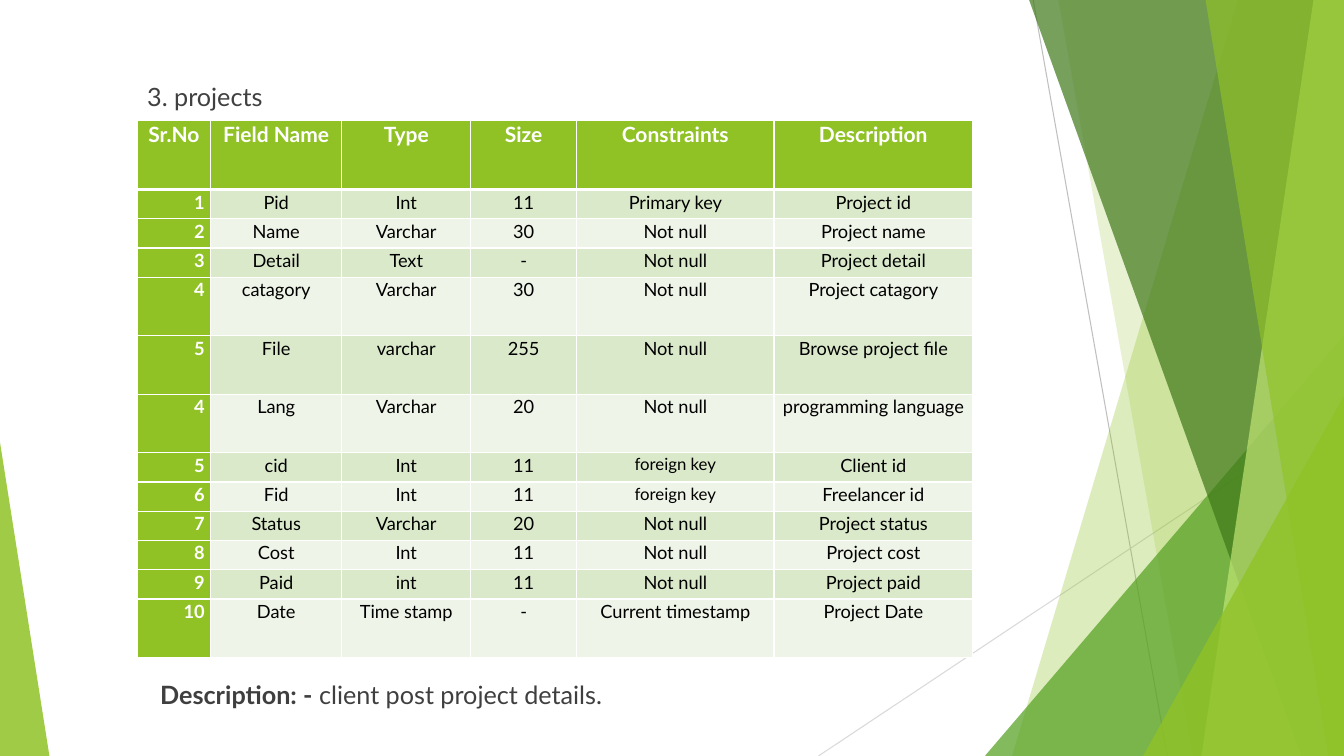
"""Builds the slide that lists the fields of the projects table."""
from pptx import Presentation
from pptx.dml.color import RGBColor
from pptx.enum.shapes import MSO_CONNECTOR, MSO_SHAPE
from pptx.enum.text import MSO_ANCHOR, PP_ALIGN
from pptx.oxml import parse_xml
from pptx.oxml.ns import nsdecls, qn
from pptx.util import Pt
from lxml.etree import SubElement

COLORS = {
    "white": "FFFFFF", "black": "000000", "title": "404040", "text": "3F3F3F",
    "gray": "BFBFBF", "silver": "D9D9D9", "lime": "90C226", "green": "54A021",
    "forest": "3F7819", "pale": "C0E474", "band_dark": "DBE9CB", "band_light": "EEF4E7",
}
WIDTH, HEIGHT = 960, 540
COLUMNS = [52.6, 93.6, 92.2, 75.6, 141.1, 141.8]
HEADER_ROW, ROW, TALL_ROW = 49.7, 20.9, 41.8
TALL_FIELDS = {"catagory", "File", "Lang", "Date"}
FIELDS = [
    ["Sr.No", "Field Name", "Type", "Size", "Constraints", "Description"],
    ["1", "Pid", "Int", "11", "Primary key", "Project id"],
    ["2", "Name", "Varchar", "30", "Not null", "Project name"],
    ["3", "Detail", "Text", "-", "Not null", "Project detail"],
    ["4", "catagory", "Varchar", "30", "Not null", "Project catagory"],
    ["5", "File", "varchar", "255", "Not null", "Browse project file"],
    ["4", "Lang", "Varchar", "20", "Not null", "programming language"],
    ["5", "cid", "Int", "11", "foreign key", "Client id"],
    ["6", "Fid", "Int", "11", "foreign key", "Freelancer id"],
    ["7", "Status", "Varchar", "20", "Not null", "Project status"],
    ["8", "Cost", "Int", "11", "Not null", "Project cost"],
    ["9", "Paid", "int", "11", "Not null", "Project paid"],
    ["10", "Date", "Time stamp", "-", "Current timestamp", "Project Date"],
]


def rgb(name):
    """Return the named colour."""
    return RGBColor.from_string(COLORS[name])


class SlideBuilder:
    """Holds the style and the current slide."""

    font = "Lato"

    def __init__(self, prs):
        """Add a title-only slide."""
        self.s = prs.slides.add_slide(prs.slide_layouts[5])

    def style(self, font, size, color, bold=False):
        """Set typeface, size, colour and weight."""
        font.name, font.size, font.bold = self.font, Pt(size), bold
        font.color.rgb = rgb(color)

    def paint(self, sp, color, opacity):
        """Give a shape a see-through fill and no outline."""
        sp.shadow.inherit = False
        sp.fill.solid()
        sp.fill.fore_color.rgb = rgb(color)
        sp.line.fill.background()
        clr = sp._element.spPr.find(qn("a:solidFill"))[0]
        SubElement(clr, qn("a:alpha")).set("val", str(opacity * 1000))

    def line(self, x1, y1, x2, y2, color):
        """Draw a thin straight line."""
        cn = self.s.shapes.add_connector(
            MSO_CONNECTOR.STRAIGHT, Pt(x1), Pt(y1), Pt(x2), Pt(y2))
        cn.line.color.rgb = rgb(color)
        cn.line.width = Pt(0.75)
        SubElement(cn._element.spPr, qn("a:effectLst"))

    def panel(self, top_x, bottom_x, color, opacity):
        """Fill from a slanted left edge to the right side of the slide."""
        fb = self.s.shapes.build_freeform(Pt(top_x), 0)
        fb.add_line_segments([(Pt(WIDTH), 0), (Pt(WIDTH), Pt(HEIGHT)), (Pt(bottom_x), Pt(HEIGHT))])
        self.paint(fb.convert_to_shape(), color, opacity)

    def triangle(self, x, y, w, apex, color, opacity):
        """Draw a triangle that stands on the bottom edge."""
        sp = self.s.shapes.add_shape(
            MSO_SHAPE.ISOSCELES_TRIANGLE, Pt(x), Pt(y), Pt(w), Pt(HEIGHT - y))
        sp.adjustments[0] = apex
        self.paint(sp, color, opacity)

    def title(self, text, x, y, w, h):
        """Place the title and bring it to the front."""
        sp = self.s.shapes.title
        sp.left, sp.top, sp.width, sp.height = Pt(x), Pt(y), Pt(w), Pt(h)
        self.s.shapes._spTree.append(sp._element)
        tf = sp.text_frame
        tf.text, tf.vertical_anchor = text, MSO_ANCHOR.TOP
        p = tf.paragraphs[0]
        p.alignment = PP_ALIGN.LEFT
        self.style(p.font, 18, "title")

    def note(self, label, text, x, y, w, h):
        """Add a line of text with a bold label."""
        tf = self.s.shapes.add_textbox(Pt(x), Pt(y), Pt(w), Pt(h)).text_frame
        tf.word_wrap = True
        for words, bold in ((label, True), (text, False)):
            r = tf.paragraphs[0].add_run()
            r.text = words
            self.style(r.font, 18, "text", bold)

    def cell(self, cell, text, row, col):
        """Write and format one table cell."""
        head, number = row == 0, col == 0
        cell.margin_left = cell.margin_right = Pt(4.3)
        cell.margin_top = cell.margin_bottom = 0
        thick = {"B"} if head else {"T"} if row == 1 else set()
        for side in "LRTB":
            cell._tc.get_or_add_tcPr().append(parse_xml(
                f'<a:ln{side} {nsdecls("a")} w="{Pt(3 if side in thick else 1)}"><a:solidFill>'
                f'<a:srgbClr val="{COLORS["white"]}"/></a:solidFill></a:ln{side}>'))
        band = "band_dark" if row % 2 else "band_light"
        cell.fill.solid()
        cell.fill.fore_color.rgb = rgb("lime" if head or number else band)
        cell.text = text
        p = cell.text_frame.paragraphs[0]
        p.alignment = PP_ALIGN.RIGHT if number and not head else PP_ALIGN.CENTER
        p.line_spacing = 1.07
        size = 15 if head else 12 if text == "foreign key" else 13
        strong = head or number
        self.style(p.font, size, "white" if strong else "black", strong)

    def table(self, rows, x, y):
        """Add the table of fields."""
        heights = [HEADER_ROW] + [TALL_ROW if r[1] in TALL_FIELDS else ROW for r in rows[1:]]
        table = self.s.shapes.add_table(
            len(rows), len(COLUMNS), Pt(x), Pt(y), Pt(sum(COLUMNS)), Pt(sum(heights))).table
        table.first_col, table.horz_banding = True, False
        for column, width in zip(table.columns, COLUMNS):
            column.width = Pt(width)
        for i, (values, height) in enumerate(zip(rows, heights)):
            table.rows[i].height = Pt(height)
            for j, text in enumerate(values):
                self.cell(table.cell(i, j), text, i, j)


def main():
    """Build and save the slide."""
    prs = Presentation()
    prs.slide_width, prs.slide_height = Pt(WIDTH), Pt(HEIGHT)
    b = SlideBuilder(prs)
    b.line(738, 0, 833.8, HEIGHT, "gray")
    b.line(WIDTH, 290.2, 584.6, HEIGHT, "silver")
    b.panel(884.2, 722.9, "lime", 30)
    b.panel(756, 851.8, "lime", 20)
    b.triangle(703.5, 239.8, 256.5, 1, "green", 72)
    b.panel(735.1, 929.5, "forest", 70)
    b.panel(938.2, 858.2, "pale", 70)
    b.panel(861.1, 949, "lime", 65)
    b.triangle(816.5, 283, 143.5, 1, "lime", 80)
    b.triangle(0, 316, 35.3, 0, "lime", 85)
    b.title("3. projects", 97.9, 54.7, 632, 31)
    b.note("Description: -", " client post project details.", 107.3, 481.7, 537.8, 58.3)
    b.table(FIELDS, 97.9, 85.7)
    prs.save("out.pptx")


if __name__ == "__main__":
    main()
